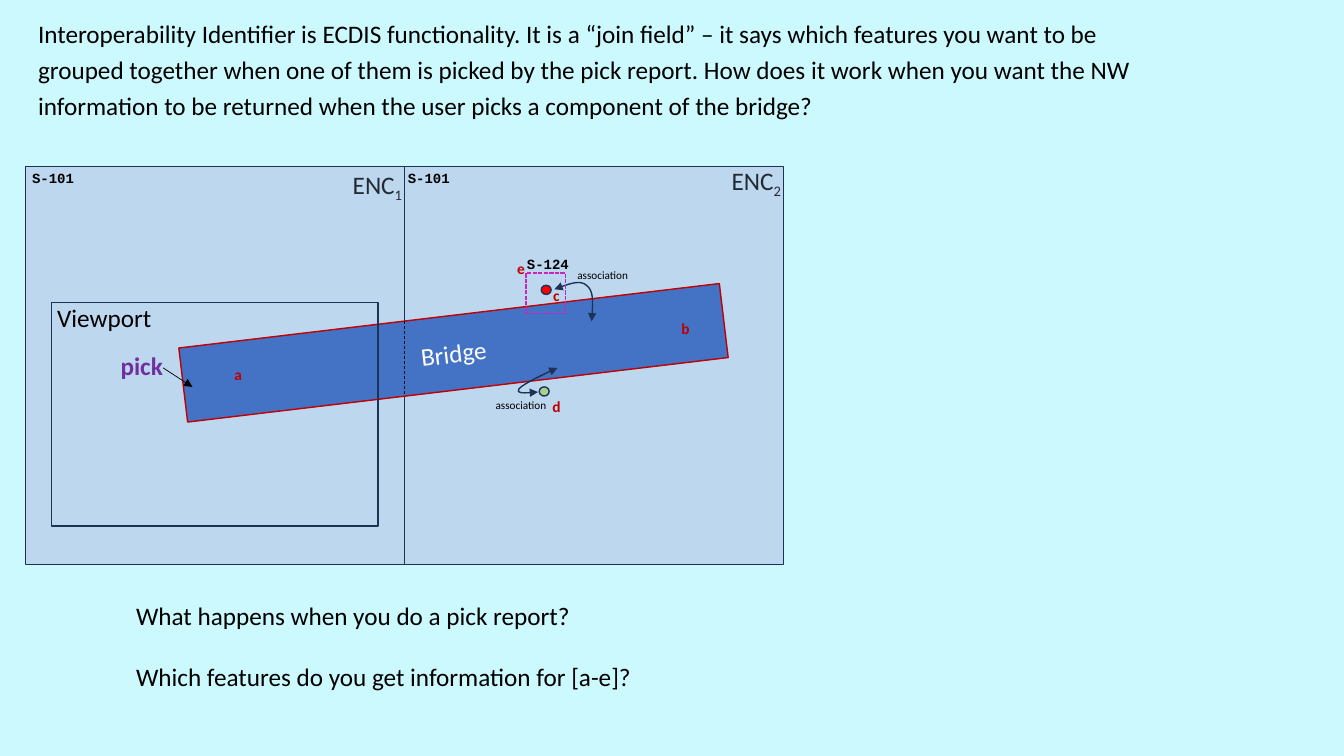
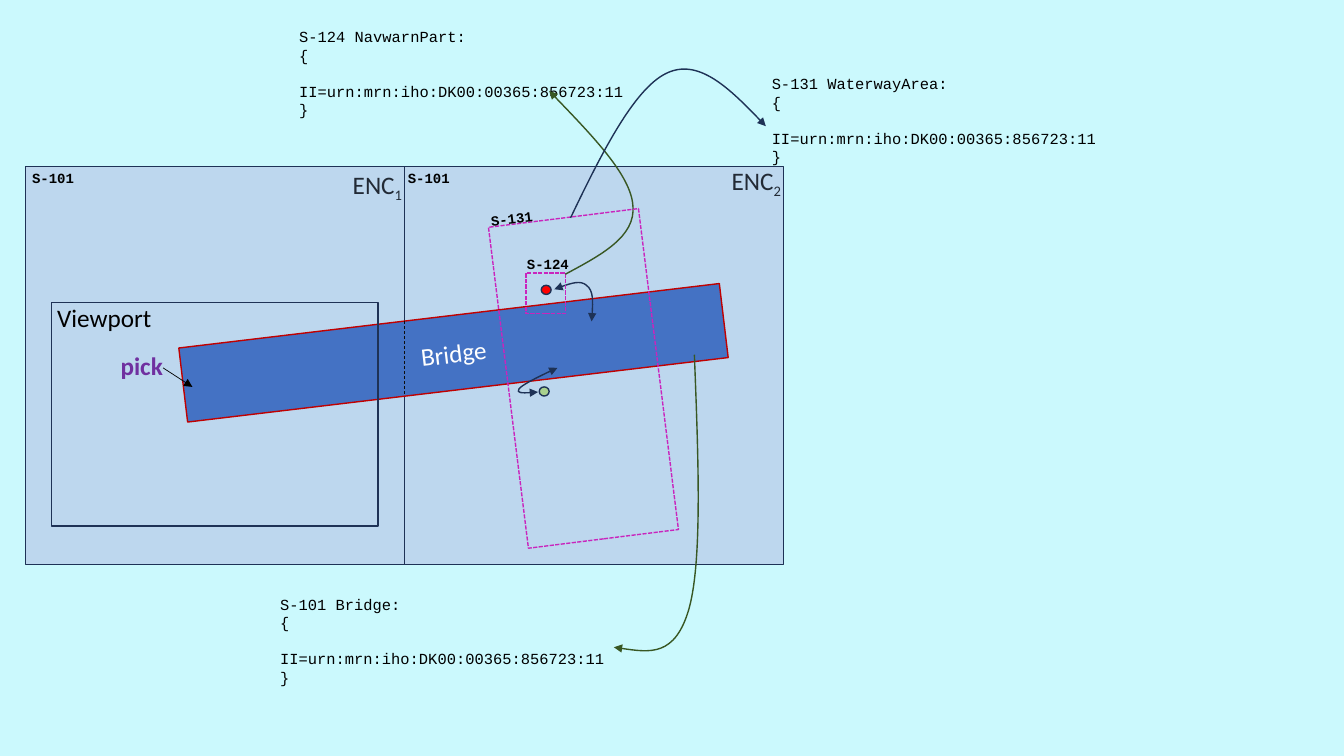
from lxml import etree
from pptx import Presentation
from pptx.dml.color import RGBColor
from pptx.enum.dml import MSO_LINE
from pptx.enum.shapes import MSO_CONNECTOR, MSO_SHAPE
from pptx.enum.text import MSO_ANCHOR, MSO_AUTO_SIZE, PP_ALIGN
from pptx.oxml.ns import qn
from pptx.util import Cm, Pt

RECTANGLE = MSO_SHAPE.RECTANGLE
OVAL = MSO_SHAPE.OVAL
STRAIGHT = MSO_CONNECTOR.STRAIGHT
DASH = MSO_LINE.DASH
SHORT_DASH = MSO_LINE.SQUARE_DOT
FIT_SHAPE = MSO_AUTO_SIZE.SHAPE_TO_FIT_TEXT
MIDDLE = MSO_ANCHOR.MIDDLE
CENTER = PP_ALIGN.CENTER

BODY_FONT = "Calibri"
CODE_FONT = "Courier New"
COLORS = {
    "background": "CBF9FD",
    "chart": "BDD7EE",
    "outline": "1E3256",
    "bridge": "4472C4",
    "red": "C00000",
    "warning": "FF0000",
    "light": "A9D18E",
    "area": "C925BD",
    "identifier": "385723",
    "pick": "7030A0",
    "chart_name": "222A35",
    "seam": "0D0D0D",
    "black": "000000",
    "white": "FFFFFF",
}

CHART_LEFT, CHART_TOP, CHART_WIDTH, CHART_HEIGHT = 0.64, 4.19, 9.55, 10.03
SEAM_X = CHART_LEFT + CHART_WIDTH
BRIDGE_ROTATION = -6.8
WATERWAY_ROTATION = -7.1
IDENTIFIER = "II=urn:mrn:iho:DK00:00365:856723:11"


def color(name):
    return RGBColor.from_string(COLORS[name])


def set_font(font, size, color_name="black", name=BODY_FONT, bold=False):
    font.name = name
    font.size = Pt(size)
    font.bold = bold
    font.color.rgb = color(color_name)


def set_line(shape, color_name, width=1, dash=None, ends=()):
    """Style an outline; ends may hold "headEnd" and "tailEnd"."""
    shape.line.color.rgb = color(color_name)
    shape.line.width = Pt(width)
    if dash is not None:
        shape.line.dash_style = dash
    outline = shape.line._get_or_add_ln()
    for end in ends:
        etree.SubElement(outline, qn(f"a:{end}"), type="triangle")


def add_box(slide, kind, box, fill=None, line="outline", dash=None, rotation=0):
    shape = slide.shapes.add_shape(kind, *map(Cm, box))
    shape.shadow.inherit = False
    shape.rotation = rotation
    if fill:
        shape.fill.solid()
        shape.fill.fore_color.rgb = color(fill)
    else:
        shape.fill.background()
    set_line(shape, line, dash=dash)
    return shape


def add_text(slide, box, lines, size, wrap=False, rotation=0, **font):
    """Add a text box with one paragraph per line and return its paragraphs."""
    shape = slide.shapes.add_textbox(*map(Cm, box))
    shape.rotation = rotation
    frame = shape.text_frame
    frame.word_wrap = wrap
    frame.auto_size = FIT_SHAPE
    frame.text = "\n".join(lines)
    for paragraph in frame.paragraphs:
        set_font(paragraph.font, size, **font)
    return frame.paragraphs


def add_product_label(slide, left, top, text, rotation=0):
    add_text(slide, (left, top, 1.57, 0.69), [text], 10, wrap=True,
             rotation=rotation, name=CODE_FONT, bold=True)


def add_chart_name(slide, left, top, number):
    paragraph, = add_text(slide, (left, top, 1.8, 1.02), ["ENC"], 18,
                          color_name="chart_name")
    run = paragraph.add_run()
    run.text = number
    run._r.get_or_add_rPr().set("baseline", "-25000")


def add_code(slide, left, top, feature):
    lines = [f"{feature}:", "{", IDENTIFIER, "}"]
    paragraphs = add_text(slide, (left, top, 9.02, 2.13), lines, 11,
                          wrap=True, name=CODE_FONT)
    paragraphs[2].space_before = Pt(12.5)


def add_straight(slide, start, end, color_name, dash=None, ends=()):
    connector = slide.shapes.add_connector(STRAIGHT, *map(Cm, start + end))
    set_line(connector, color_name, 0.5, dash, ends)
    etree.SubElement(connector._element.spPr, qn("a:effectLst"))


def add_curve(slide, start, curves, color_name, ends=("tailEnd",)):
    """Draw cubic curves, each given as two control points and an end point."""
    builder = slide.shapes.build_freeform(*map(Cm, start), scale=1.0)
    builder.add_line_segments([tuple(map(Cm, curve[2])) for curve in curves],
                              close=False)
    shape = builder.convert_to_shape()
    shape.shadow.inherit = False
    shape.fill.background()
    set_line(shape, color_name, ends=ends)
    segments = list(shape._element.iter(qn("a:lnTo")))
    for segment, curve in zip(segments, curves):
        segment.tag = qn("a:cubicBezTo")
        for index, (x, y) in enumerate(curve[:2]):
            point = etree.Element(qn("a:pt"), x=str(Cm(x) - shape.left),
                                  y=str(Cm(y) - shape.top))
            segment.insert(index, point)


def add_bridge(slide):
    bridge = add_box(slide, RECTANGLE, (4.57, 7.95, 13.72, 1.88), "bridge",
                     "red", rotation=BRIDGE_ROTATION)
    frame = bridge.text_frame
    frame.text = "Bridge"
    frame.vertical_anchor = MIDDLE
    paragraph = frame.paragraphs[0]
    paragraph.alignment = CENTER
    set_font(paragraph.font, 18, "white")


def add_association_arrows(slide):
    both_ends = ("headEnd", "tailEnd")
    add_curve(slide, (13.97, 7.29),
              [((14.3, 7.16), (14.63, 7.06), (14.78, 7.19)),
               ((14.96, 7.32), (14.94, 7.72), (14.91, 8.1))],
              "outline", both_ends)
    add_curve(slide, (14.05, 9.27),
              [((13.61, 9.47), (13.16, 9.7), (13.08, 9.8)),
               ((13, 9.91), (13.28, 9.91), (13.56, 9.88))],
              "outline", both_ends)


def add_chart_scene(slide):
    """Draw the two charts, the bridge and the viewport."""
    for left in (CHART_LEFT, SEAM_X):
        add_box(slide, RECTANGLE, (left, CHART_TOP, CHART_WIDTH, CHART_HEIGHT),
                "chart")
    add_bridge(slide)
    add_box(slide, RECTANGLE, (1.3, 7.62, 8.23, 5.64))
    add_text(slide, (1.19, 7.49, 2.92, 1.02), ["Viewport"], 18)
    add_straight(slide, (SEAM_X, 8.1), (SEAM_X, 9.93), "seam", DASH)
    add_chart_name(slide, 8.64, 4.14, "1")
    add_chart_name(slide, 18.19, 4.04, "2")
    add_box(slide, OVAL, (13.64, 7.19, 0.25, 0.23), "warning")
    add_box(slide, OVAL, (13.59, 9.75, 0.25, 0.23), "light")
    add_straight(slide, (4.11, 9.27), (4.85, 9.75), "black", ends=("tailEnd",))
    add_association_arrows(slide)
    add_box(slide, RECTANGLE, (13.26, 6.88, 0.99, 1.02), line="area",
            dash=SHORT_DASH)
    add_product_label(slide, 13.03, 6.32, "S-124")
    add_text(slide, (2.79, 8.71, 1.57, 1.02), ["pick"], 18,
             color_name="pick", bold=True)
    for left in (0.56, 10.03):
        add_product_label(slide, left, 4.14, "S-101")


def add_question_slide(slide):
    add_chart_scene(slide)
    for left, top in ((14.3, 6.63), (12.24, 9.91)):
        add_text(slide, (left, top, 1.8, 0.61), ["association"], 8)
    letters = {"a": (5.66, 9.07), "b": (16.92, 7.92), "c": (13.69, 7.09),
               "d": (13.67, 9.88), "e": (12.78, 6.4)}
    for letter, (left, top) in letters.items():
        add_text(slide, (left, top, 0.71, 0.74), [letter], 11,
                 color_name="red", bold=True)
    questions = add_text(
        slide, (3.18, 15.01, 13.13, 2.57),
        ["What happens when you do a pick report?",
         "Which features do you get information for [a-e]?"], 18)
    questions[1].space_before = Pt(22)
    introduction, = add_text(
        slide, (0.71, 0.18, 28.93, 2.97),
        ["Interoperability Identifier is ECDIS functionality. It is a “join "
         "field” – it says which features you want to be grouped together "
         "when one of them is picked by the pick report. How does it work "
         "when you want the NW information to be returned when the user "
         "picks a component of the bridge?"], 18, wrap=True)
    introduction.line_spacing = 1.2


def add_identifier_slide(slide):
    add_chart_scene(slide)
    add_code(slide, 7.29, 0.56, "S-124 NavwarnPart")
    add_curve(slide, (14.25, 6.91),
              [((15.14, 6.43), (16.03, 5.97), (15.95, 5.18)),
               ((15.9, 4.42), (14.86, 3.35), (13.84, 2.29))], "identifier")
    add_code(slide, 6.81, 14.86, "S-101 Bridge")
    add_curve(slide, (17.5, 8.94),
              [((17.6, 11.53), (17.7, 14.1), (17.37, 15.32)),
               ((17.02, 16.56), (16.26, 16.43), (15.47, 16.31))], "identifier")
    add_box(slide, RECTANGLE, (12.8, 5.46, 3.81, 8.15), line="area",
            dash=SHORT_DASH, rotation=WATERWAY_ROTATION)
    add_product_label(slide, 12.12, 5.16, "S-131", WATERWAY_ROTATION)
    add_code(slide, 19.2, 1.75, "S-131 WaterwayArea")
    add_curve(slide, (14.38, 5.49),
              [((15.16, 3.86), (15.98, 2.24), (16.79, 1.85)),
               ((17.6, 1.45), (18.47, 2.31), (19.3, 3.18))], "outline")


def main():
    presentation = Presentation()
    presentation.slide_width = Cm(33.87)
    presentation.slide_height = Cm(19.05)
    background = presentation.slide_master.background.fill
    background.solid()
    background.fore_color.rgb = color("background")
    blank_layout = presentation.slide_layouts[6]
    for fill_slide in (add_question_slide, add_identifier_slide):
        fill_slide(presentation.slides.add_slide(blank_layout))
    presentation.save("out.pptx")


if __name__ == "__main__":
    main()
